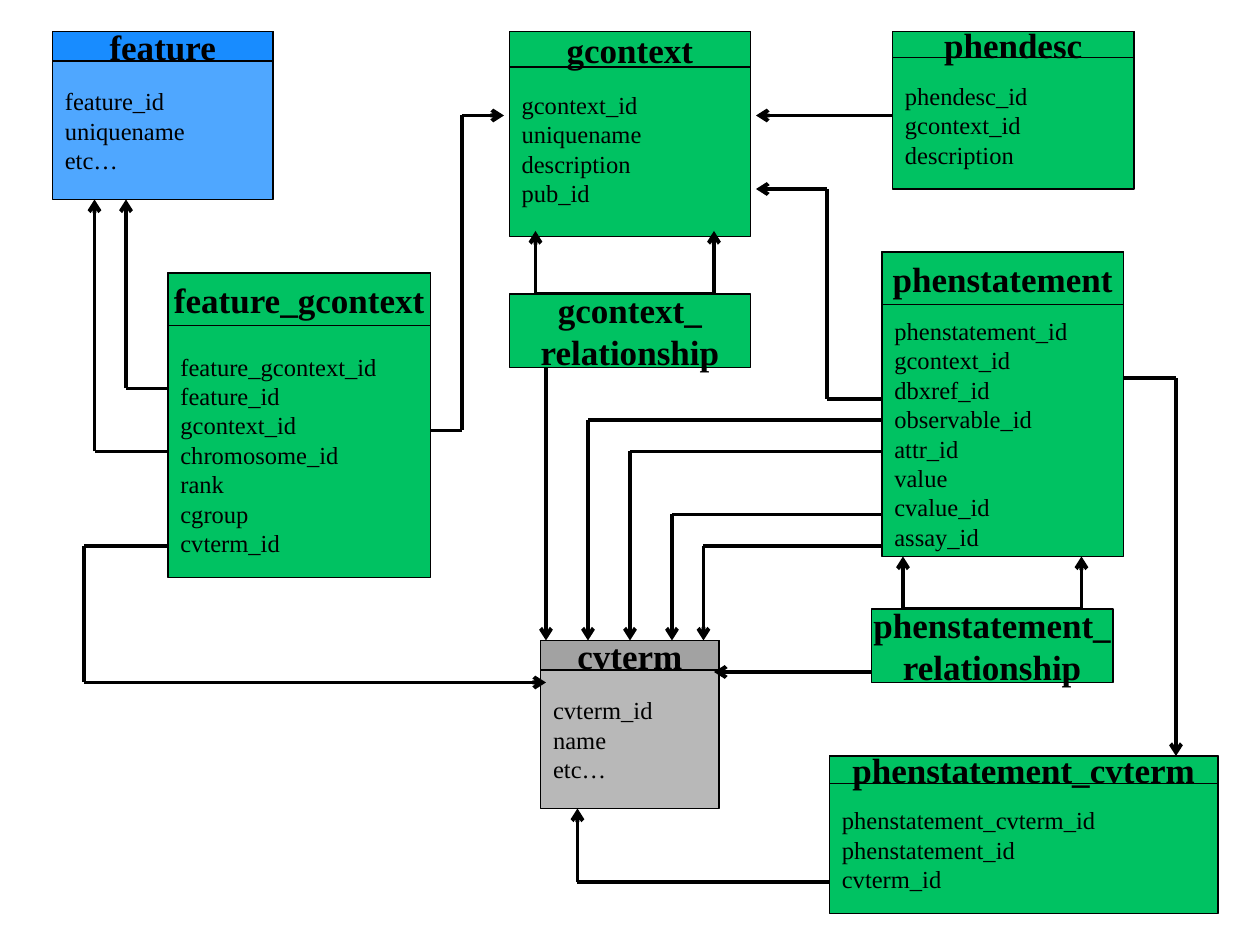
from dataclasses import dataclass

from lxml import etree
from pptx import Presentation
from pptx.dml.color import RGBColor
from pptx.enum.shapes import MSO_CONNECTOR, MSO_SHAPE
from pptx.enum.text import MSO_ANCHOR, PP_ALIGN
from pptx.oxml.ns import qn
from pptx.util import Pt

RECT = MSO_SHAPE.RECTANGLE
STRAIGHT = MSO_CONNECTOR.STRAIGHT
MIDDLE = MSO_ANCHOR.MIDDLE
LEFT, CENTER = PP_ALIGN.LEFT, PP_ALIGN.CENTER
SCALE = 7620


@dataclass(frozen=True)
class Theme:
    """Colours, fonts and sizes of the diagram."""

    font: str = "Times New Roman"
    ink: str = "000000"
    green: tuple = ("00C262", 100)
    blue: tuple = ("0080FF", 69)
    gray: tuple = ("999999", 69)
    head: int = 20
    body: int = 14
    pitch: float = 1.2
    thin: float = 0.75
    thick: float = 2.25


THEME = Theme()

TABLES = [
    ("feature", (50, 30, 210, 160), 28, THEME.blue, 1,
     ["feature_id", "uniquename", "etc…"]),
    ("feature_gcontext", (160, 260, 250, 290), 50, THEME.green, 2,
     ["feature_gcontext_id", "feature_id", "gcontext_id", "chromosome_id",
      "rank", "cgroup", "cvterm_id"]),
    ("cvterm", (515, 610, 170, 160), 28, THEME.gray, 1,
     ["cvterm_id", "name", "etc…"]),
    ("gcontext", (485, 30, 230, 195), 34, THEME.green, 1,
     ["gcontext_id", "uniquename", "description", "pub_id"]),
    ("phenstatement_cvterm", (790, 720, 370, 150), 26, THEME.green, 1,
     ["phenstatement_cvterm_id", "phenstatement_id", "cvterm_id"]),
    ("phenstatement", (840, 240, 230, 290), 50, THEME.green, 2,
     ["phenstatement_id", "gcontext_id", "dbxref_id", "observable_id",
      "attr_id", "value", "cvalue_id", "assay_id"]),
    ("phendesc", (850, 30, 230, 150), 25, THEME.green, 1,
     ["phendesc_id", "gcontext_id", "description"]),
]

BRIDGES = [
    ("gcontext_\nrelationship", (485, 280, 230, 70)),
    ("phenstatement_\nrelationship", (830, 580, 230, 70)),
]

ROUTES = [
    [(160, 370), (120, 370), (120, 190)],
    [(160, 430), (90, 430), (90, 190)],
    [(160, 520), (80, 520), (80, 650), (520, 650)],
    [(410, 410), (440, 410), (440, 110), (480, 110)],
    [(840, 380), (788, 380), (788, 180), (720, 180)],
    [(790, 840), (550, 840), (550, 770)],
    [(1070, 360), (1120, 360), (1120, 720)],
    [(520, 350), (520, 610)],
    [(830, 640), (680, 640)],
    [(850, 110), (720, 110)],
]
TERMS = [(560, 400), (600, 430), (640, 490), (670, 520)]
LOOPS = [(510, 280, 220), (860, 580, 530)]


def px(*vals):
    """Turn px lengths into EMU."""
    return [round(val * SCALE) for val in vals]


def add_box(shapes, box, paint, text, size, bold=False, align=LEFT, drop=0):
    """Draw a filled box whose text sits lower by half of drop lines."""
    shape = shapes.add_shape(RECT, *px(*box))
    shape.shadow.inherit = False
    tone, alpha = paint
    shape.fill.solid()
    shape.fill.fore_color.rgb = RGBColor.from_string(tone)
    if alpha < 100:
        clr = shape.fill._xPr.find(qn("a:solidFill"))[0]
        etree.SubElement(clr, qn("a:alpha")).set("val", str(alpha * 1000))
    shape.line.color.rgb = RGBColor.from_string(THEME.ink)
    shape.line.width = Pt(THEME.thin)
    frame = shape.text_frame
    frame.word_wrap = False
    frame.vertical_anchor = MIDDLE
    frame.margin_left, frame.margin_right = px(12, 12)
    frame.margin_top = Pt(drop * size * THEME.pitch)
    frame.margin_bottom = 0
    frame.text = text
    for para in frame.paragraphs:
        para.alignment = align
        para.line_spacing = Pt(size * THEME.pitch)
        font = para.runs[0].font
        font.name, font.size, font.bold = THEME.font, Pt(size), bold
        font.color.rgb = RGBColor.from_string(THEME.ink)


def add_head(shapes, box, paint, text):
    """Draw a box with a bold centred name."""
    add_box(shapes, box, paint, text, THEME.head, True, CENTER)


def add_entity(slide, name, box, head, paint, drop, cols):
    """Draw one database table as a group of column list and name bar."""
    left, top, width, _ = box
    shapes = slide.shapes.add_group_shape().shapes
    add_box(shapes, box, paint, "\n".join(cols), THEME.body, drop=drop)
    add_head(shapes, (left, top, width, head), paint, name)


def add_route(slide, points):
    """Draw straight lines through the points, with an arrow at the last."""
    for start, end in zip(points, points[1:]):
        line = slide.shapes.add_connector(STRAIGHT, *px(*start, *end))
        line.line.color.rgb = RGBColor.from_string(THEME.ink)
        line.line.width = Pt(THEME.thick)
        props = line._element.spPr
        etree.SubElement(props, qn("a:effectLst"))
    tail = etree.SubElement(props.find(qn("a:ln")), qn("a:tailEnd"))
    tail.set("type", "arrow")


def add_loop(slide, left, base, top):
    """Draw the two arrows that lead from a relationship to its table."""
    right = left + 170
    add_route(slide, [(left, base), (left, top)])
    add_route(slide, [(left, base), (right, base), (right, top)])


def main():
    """Build the schema slide."""
    deck = Presentation()
    deck.slide_width, deck.slide_height = px(1200, 900)
    slide = deck.slides.add_slide(deck.slide_layouts[6])
    for table in TABLES:
        add_entity(slide, *table)
    for route in ROUTES:
        add_route(slide, route)
    for x, y in TERMS:
        add_route(slide, [(840, y), (x, y), (x, 610)])
    for loop in LOOPS:
        add_loop(slide, *loop)
    for name, box in BRIDGES:
        add_head(slide.shapes, box, THEME.green, name)
    deck.save("out.pptx")


if __name__ == "__main__":
    main()
